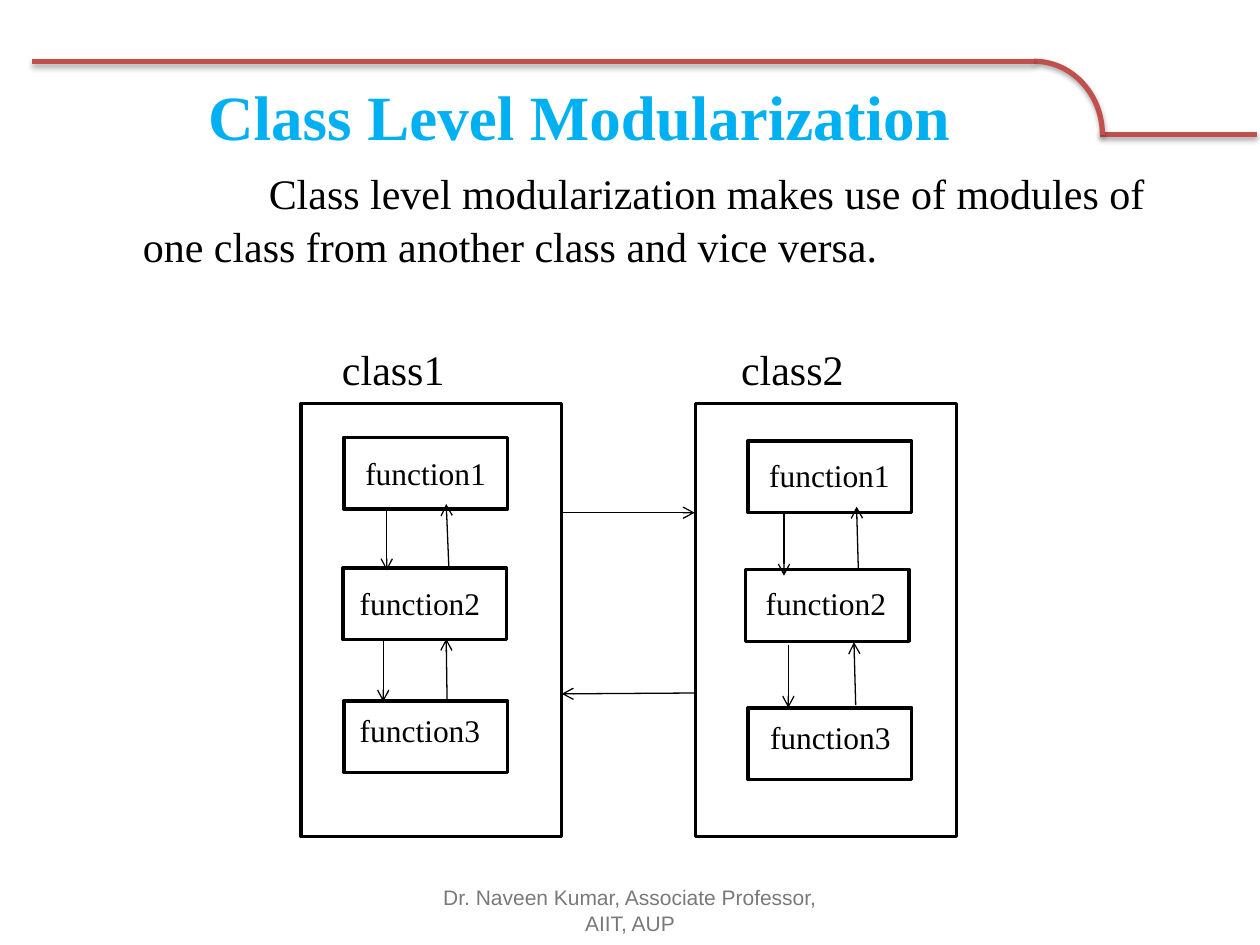
from lxml.etree import SubElement
from pptx import Presentation
from pptx.dml.color import RGBColor
from pptx.enum.shapes import MSO_CONNECTOR as Connector, MSO_SHAPE as Shape
from pptx.enum.text import MSO_ANCHOR as Anchor, MSO_AUTO_SIZE as AutoSize, PP_ALIGN as Align
from pptx.oxml.ns import qn
from pptx.util import Pt

COLORS = {"title": "00B0F0", "ink": "000000", "rule": "C0504D", "footer": "797979"}
SERIF, SANS = "Times New Roman", "Arial"
FUNCTION_SIZE = (93.5, 41)
LABEL_SIZE = (84, 29)

CLASSES = [
    {
        "name": "class1", "name_at": (188, 193), "frame_at": (172, 230.5),
        "boxes": [(196.5, 250), (196, 324.5), (196.5, 400.5)],
        "labels": [None, (198, 330), (198, 403)],
        "calls": [(221, 290, 221, 326), (256.5, 324, 255, 288),
                  (219, 365, 219, 401), (255.5, 401, 255, 365)],
    },
    {
        "name": "class2", "name_at": (416, 193), "frame_at": (397.5, 230.5),
        "boxes": [(427.5, 252), (426, 325.5), (427.5, 404.5)],
        "labels": [(432, 257), (430, 330), (432.5, 407)],
        "calls": [(448, 293, 448, 329), (490.5, 325.5, 489.5, 289.5),
                  (450.5, 368.5, 450.5, 404.5), (489, 403, 488, 367)],
    },
]
CROSS_CALLS = [(321, 293, 397, 293), (397.5, 396, 321, 396.5)]


def color(name):
    return RGBColor.from_string(COLORS[name])


def write(frame, text, size=18, font=SERIF, ink="ink", bold=False,
          align=Align.CENTER, anchor=Anchor.TOP, wrap=True):
    frame.word_wrap = wrap
    frame.auto_size = AutoSize.NONE if wrap else AutoSize.SHAPE_TO_FIT_TEXT
    frame.vertical_anchor = anchor
    para = frame.paragraphs[0]
    para.alignment = align
    span = para.add_run()
    span.text = text
    span.font.size = Pt(size)
    span.font.name = font
    span.font.bold = bold
    span.font.color.rgb = color(ink)
    return para


class Sketch:
    def __init__(self, slide):
        self.slide = slide
        self.shapes = slide.shapes

    def effects(self, shape, shadow):
        effects = SubElement(shape._element.spPr, qn("a:effectLst"))
        if shadow:
            outer = SubElement(effects, qn("a:outerShdw"), blurRad=str(Pt(3.1)),
                               dist=str(Pt(1.8)), dir="5400000", rotWithShape="0")
            tint = SubElement(outer, qn("a:srgbClr"), val=COLORS["ink"])
            SubElement(tint, qn("a:alpha"), val="35000")

    def title(self, text, left, top, width, height):
        box = self.shapes.title
        box.left, box.top, box.width, box.height = map(Pt, (left, top, width, height))
        write(box.text_frame, text, size=36, ink="title", bold=True, anchor=Anchor.MIDDLE)

    def text(self, text, left, top, width, height, **style):
        box = self.shapes.add_textbox(*map(Pt, (left, top, width, height)))
        return write(box.text_frame, text, **style)

    def outline(self, kind, left, top, width, height, ink="ink", weight=2, shadow=False):
        shape = self.shapes.add_shape(kind, *map(Pt, (left, top, width, height)))
        shape.fill.background()
        shape.line.color.rgb = color(ink)
        shape.line.width = Pt(weight)
        self.effects(shape, shadow)
        return shape

    def line(self, ends, ink="ink", weight=0.75, arrow=True, shadow=False):
        line = self.shapes.add_connector(Connector.STRAIGHT, *map(Pt, ends))
        line.line.color.rgb = color(ink)
        line.line.width = Pt(weight)
        if arrow:
            SubElement(line.line._get_or_add_ln(), qn("a:tailEnd"), type="arrow")
        self.effects(line, shadow)

    def header_rule(self):
        style = {"ink": "rule", "weight": 3, "shadow": True}
        self.line((628.5, 77, 718.5, 77), arrow=False, **style)
        self.outline(Shape.ARC, 552, 35, 78, 84, **style)
        self.line((591, 35, 18, 35), arrow=False, **style)

    def class_diagram(self, name, name_at, frame_at, boxes, labels, calls):
        self.outline(Shape.RECTANGLE, *frame_at, 149, 247.5)
        for number, (box_at, label_at) in enumerate(zip(boxes, labels), 1):
            box = self.outline(Shape.RECTANGLE, *box_at, *FUNCTION_SIZE)
            text = f"function{number}"
            if label_at:
                self.text(text, *label_at, *LABEL_SIZE, wrap=False)
            else:
                write(box.text_frame, text, anchor=Anchor.MIDDLE)
        self.text(name, *name_at, 73.5, 36, size=24, wrap=False)
        for ends in calls:
            self.line(ends)


def main():
    deck = Presentation()
    deck.slide_width, deck.slide_height = Pt(720), Pt(540)
    page = Sketch(deck.slides.add_slide(deck.slide_layouts[5]))
    page.header_rule()
    page.title("Class Level Modularization", 40, 40, 582, 52)
    intro = page.text(
        "Class level modularization makes use of modules of one class "
        "from another class and vice versa.",
        47.5, 91, 628.5, 69, size=24, align=Align.LEFT)
    intro.line_spacing = 1.05
    indents = intro._p.get_or_add_pPr()
    indents.set("marL", str(Pt(27)))
    indents.set("indent", str(Pt(72)))
    for diagram in CLASSES:
        page.class_diagram(**diagram)
    for ends in CROSS_CALLS:
        page.line(ends)
    page.text("Dr. Naveen Kumar, Associate Professor, AIIT, AUP", 246, 505.5, 228, 29,
              size=12, font=SANS, ink="footer", anchor=Anchor.MIDDLE)
    deck.save("out.pptx")


if __name__ == "__main__":
    main()
